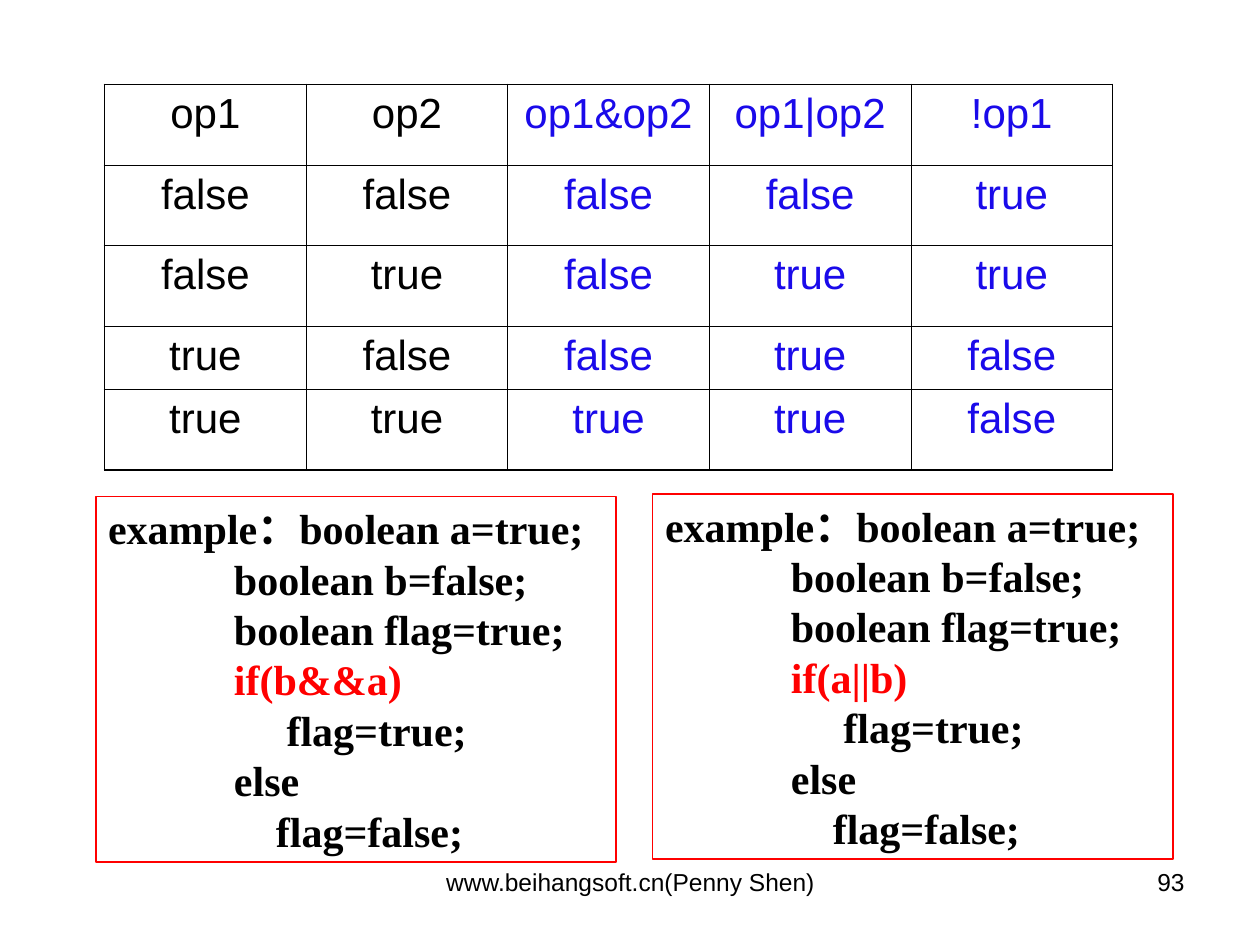
from lxml.etree import SubElement
from pptx import Presentation
from pptx.dml.color import RGBColor
from pptx.enum.shapes import MSO_SHAPE as Shape
from pptx.enum.text import MSO_ANCHOR as Anchor, MSO_AUTO_SIZE as AutoSize, PP_ALIGN as Align
from pptx.oxml import parse_xml
from pptx.oxml.ns import nsdecls, qn
from pptx.util import Inches, Pt

COLORS = {"ink": "000000", "result": "1A0AEA", "alert": "FF0000", "paper": "FFFFFF"}
TRUTH_TABLE = [
    ["op1", "op2", "op1&op2", "op1|op2", "!op1"],
    ["false", "false", "false", "false", "true"],
    ["false", "true", "false", "true", "true"],
    ["true", "false", "false", "true", "false"],
    ["true", "true", "true", "true", "false"],
]
OPERANDS = 2
ROW_HEIGHTS = [0.64, 0.64, 0.64, 0.5, 0.64]
COLUMN_WIDTH = 1.6
EXAMPLES = [("if(b&&a)", 0.76, 3.94), ("if(a||b)", 5.18, 3.92)]
EXAMPLE_SIZE = (4.13, 2.9)
CODE = [
    "example：boolean a=true;",
    "            boolean b=false;",
    "            boolean flag=true;",
    "            {condition}",
    "\t     flag=true;",
    "            else",
    "                flag=false;",
]
FOOTERS = [
    ("www.beihangsoft.cn(Penny Shen)", 3.42, 3.17, Align.CENTER),
    ("93", 7.17, 2.33, Align.RIGHT),
]
FOOTER_TOP, FOOTER_HEIGHT = 6.83, 0.52
THIN, THICK = 0.45, 1.08


def rgb(key):
    return RGBColor.from_string(COLORS[key])


def style(paragraph, face, size, color, bold=False):
    font = paragraph.font
    font.name, font.size, font.bold = face, Pt(size), bold
    font.color.rgb = rgb(color)


def set_borders(cell, outer_sides):
    properties = cell._tc.get_or_add_tcPr()
    for index, side in enumerate("LRTB"):
        width = Pt(THICK if side in outer_sides else THIN)
        border = parse_xml(
            f'<a:ln{side} {nsdecls("a")} w="{width}"><a:solidFill>'
            f'<a:srgbClr val="{COLORS["ink"]}"/></a:solidFill></a:ln{side}>'
        )
        properties.insert(index, border)


def add_truth_table(slide):
    rows, columns = len(TRUTH_TABLE), len(TRUTH_TABLE[0])
    table = slide.shapes.add_table(
        rows, columns, Inches(0.83), Inches(0.67),
        Inches(COLUMN_WIDTH * columns), Inches(sum(ROW_HEIGHTS)),
    ).table
    table.first_row = table.horz_banding = False
    for column in table.columns:
        column.width = Inches(COLUMN_WIDTH)
    for r, values in enumerate(TRUTH_TABLE):
        table.rows[r].height = Inches(ROW_HEIGHTS[r])
        for c, value in enumerate(values):
            cell = table.cell(r, c)
            cell.text = value
            cell.fill.solid()
            cell.fill.fore_color.rgb = rgb("paper")
            paragraph = cell.text_frame.paragraphs[0]
            paragraph.alignment = Align.CENTER
            style(paragraph, "Arial", 24, "ink" if c < OPERANDS else "result")
            edges = {"L": c == 0, "R": c == columns - 1, "T": r == 0, "B": r == rows - 1}
            set_borders(cell, [side for side, outer in edges.items() if outer])


def add_example(slide, condition, left, top):
    box = slide.shapes.add_shape(
        Shape.RECTANGLE, Inches(left), Inches(top), *map(Inches, EXAMPLE_SIZE)
    )
    box.shadow.inherit = False
    box.fill.solid()
    box.fill.fore_color.rgb = rgb("paper")
    box.line.color.rgb = rgb("alert")
    box.line.width = Pt(1)
    frame = box.text_frame
    frame.word_wrap = False
    frame.auto_size = AutoSize.SHAPE_TO_FIT_TEXT
    frame.vertical_anchor = Anchor.TOP
    for index, line in enumerate(CODE):
        paragraph = frame.add_paragraph() if index else frame.paragraphs[0]
        paragraph.add_run().text = line.format(condition=condition)
        paragraph.alignment = Align.LEFT
        if "\t" in line:
            tabs = SubElement(paragraph._p.get_or_add_pPr(), qn("a:tabLst"))
            SubElement(tabs, qn("a:tab"), pos=str(Inches(1)), algn="l")
        color = "alert" if "{condition}" in line else "ink"
        style(paragraph, "Times New Roman", 24, color, bold=True)


def add_footer(slide, text, left, width, alignment):
    frame = slide.shapes.add_textbox(
        Inches(left), Inches(FOOTER_TOP), Inches(width), Inches(FOOTER_HEIGHT)
    ).text_frame
    frame.word_wrap = True
    frame.text = text
    frame.paragraphs[0].alignment = alignment
    style(frame.paragraphs[0], "Arial", 14, "ink")


def main():
    deck = Presentation()
    deck.slide_width, deck.slide_height = Inches(10), Inches(7.5)
    slide = deck.slides.add_slide(deck.slide_layouts[6])
    add_truth_table(slide)
    for example in EXAMPLES:
        add_example(slide, *example)
    for footer in FOOTERS:
        add_footer(slide, *footer)
    deck.save("out.pptx")


if __name__ == "__main__":
    main()
